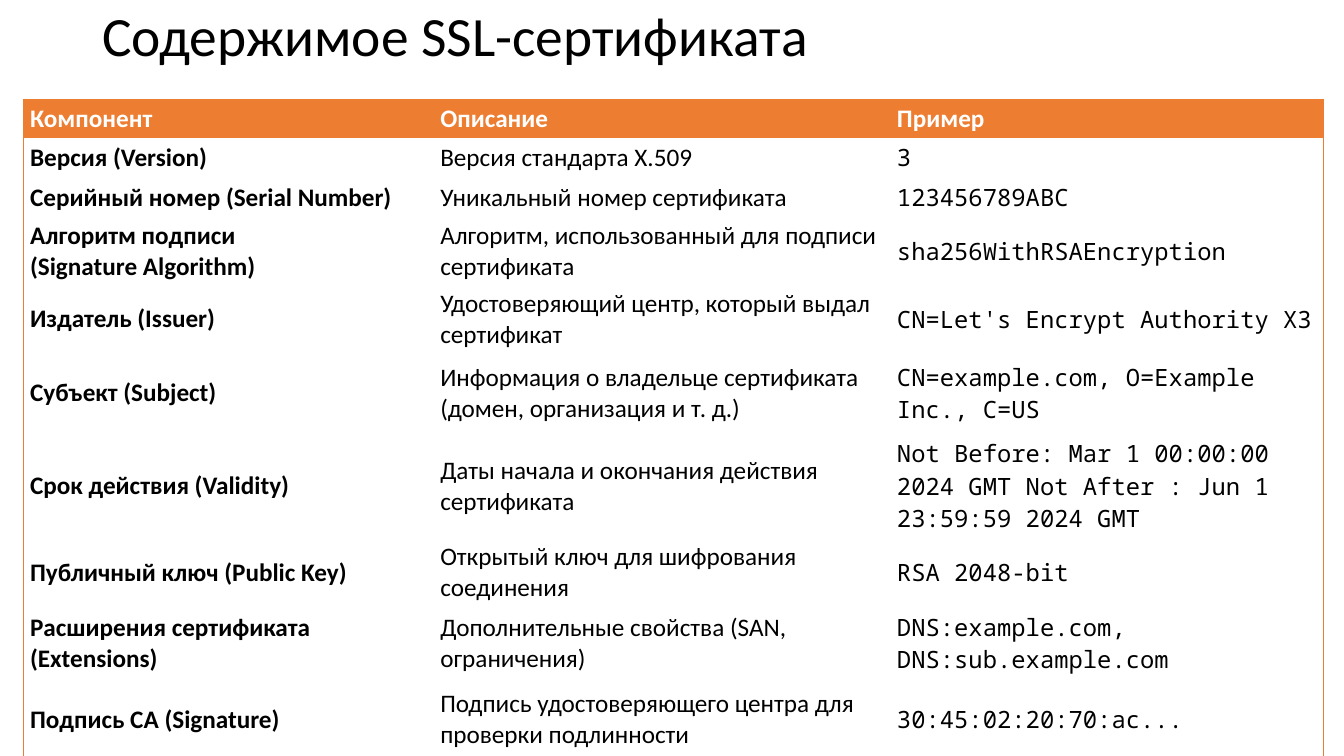
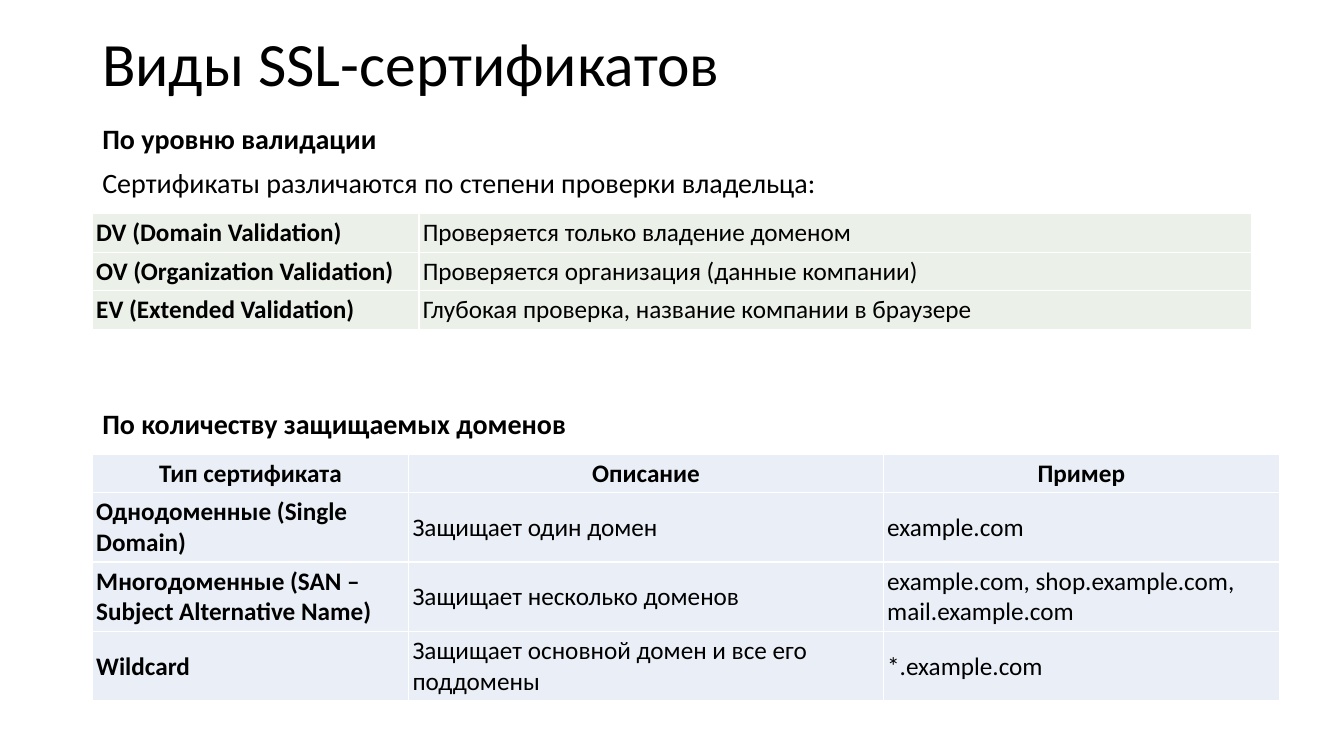
from dataclasses import dataclass

from lxml.etree import SubElement
from pptx import Presentation
from pptx.dml.color import RGBColor as Color
from pptx.enum.text import MSO_ANCHOR as Anchor, PP_ALIGN as Align
from pptx.oxml.ns import qn
from pptx.util import Emu, Pt

SCALE = 3175
NO_STYLE = "{2D5ABB26-0587-4C30-8999-92F81FD0307C}"
SIDES = ("L", "R", "T", "B")


@dataclass(frozen=True)
class Theme:
    """Colours, fonts and type sizes of the deck."""
    ink: str = "000000"
    paper: str = "FFFFFF"
    accent: str = "ED7D31"
    green: str = "EBF1E9"
    blue: str = "EAEFF7"
    font: str = "Calibri"
    mono: str = "Noto Sans Mono"
    title: float = 44
    title_small: float = 39.6
    lead: float = 20
    cell: float = 18
    code: float = 17


THEME = Theme()

CONTENTS = [
    ("Компонент", "Описание", "Пример"),
    ("Версия (Version)", "Версия стандарта X.509", "3"),
    ("Серийный номер (Serial Number)", "Уникальный номер сертификата", "123456789ABC"),
    ("Алгоритм подписи\n(Signature Algorithm)",
     "Алгоритм, использованный для подписи сертификата", "sha256WithRSAEncryption"),
    ("Издатель (Issuer)", "Удостоверяющий центр, который выдал сертификат",
     "CN=Let's Encrypt Authority X3"),
    ("Субъект (Subject)", "Информация о владельце сертификата (домен, организация и т. д.)",
     "CN=example.com, O=Example Inc., C=US"),
    ("Срок действия (Validity)", "Даты начала и окончания действия сертификата",
     "Not Before: Mar 1 00:00:00 2024 GMT Not After : Jun 1 23:59:59 2024 GMT"),
    ("Публичный ключ (Public Key)", "Открытый ключ для шифрования соединения", "RSA 2048-bit"),
    ("Расширения сертификата (Extensions)", "Дополнительные свойства (SAN, ограничения)",
     "DNS:example.com, DNS:sub.example.com"),
    ("Подпись CA (Signature)", "Подпись удостоверяющего центра для проверки подлинности",
     "30:45:02:20:70:ac..."),
]

VALIDATION = [
    ("DV (Domain Validation)", "Проверяется только владение доменом"),
    ("OV (Organization Validation)", "Проверяется организация (данные компании)"),
    ("EV (Extended Validation)", "Глубокая проверка, название компании в браузере"),
]

DOMAINS = [
    ("Тип сертификата", "Описание", "Пример"),
    ("Однодоменные (Single Domain)", "Защищает один домен", "example.com"),
    ("Многодоменные (SAN – Subject Alternative Name)", "Защищает несколько доменов",
     "example.com, shop.example.com, mail.example.com"),
    ("Wildcard", "Защищает основной домен и все его поддомены", "*.example.com"),
]


def px(length):
    """Turn px of a 3840 by 2160 slide into EMU."""
    return Emu(length * SCALE)


def write(para, text, size=THEME.cell, font=THEME.font, color=THEME.ink, bold=False,
          align=Align.LEFT, line=None, before=0):
    """Put formatted text into a paragraph."""
    para.text = text
    para.alignment = align
    para.space_before = Pt(before)
    if line:
        para.line_spacing = line
    for span in para.runs:
        span.font.size = Pt(size)
        span.font.name = font
        span.font.bold = bold
        span.font.color.rgb = Color.from_string(color)


def add_text(page, box, lines, anchor=Anchor.TOP, before=0, **look):
    """Add a text box with one paragraph for each (text, bold) pair."""
    frame = page.shapes.add_textbox(*map(px, box)).text_frame
    frame.word_wrap = True
    frame.vertical_anchor = anchor
    for index, (text, bold) in enumerate(lines):
        para = frame.add_paragraph() if index else frame.paragraphs[0]
        write(para, text, bold=bold, before=before if index else 0, **look)


def add_title(page, box, text, size=THEME.title):
    """Add the slide title."""
    add_text(page, box, [(text, False)], Anchor.MIDDLE, size=size, line=0.9)


def draw_borders(cell, sides, color, width):
    """Line the chosen sides of a cell and clear the others."""
    props = cell._tc.get_or_add_tcPr()
    for side in SIDES:
        edge = SubElement(props, qn(f"a:ln{side}"), w=str(Pt(width)))
        if side in sides:
            fill = SubElement(edge, qn("a:solidFill"))
            SubElement(fill, qn("a:srgbClr"), val=color)
        else:
            SubElement(edge, qn("a:noFill"))


def outer_sides(row, column, rows, columns):
    """Name the sides of a cell that lie on the table outline."""
    on_edge = (column == 0, column == columns - 1, row == 0, row == rows - 1)
    return [side for side, outer in zip(SIDES, on_edge) if outer]


def add_grid(page, left, top, widths, heights, data, look, border, width, inset,
             outline=False):
    """Add a table whose cells take fill and text format from look(row, column)."""
    rows, columns = len(heights), len(widths)
    frame = page.shapes.add_table(rows, columns, px(left), px(top),
                                  px(sum(widths)), px(sum(heights)))
    table = frame.table
    table.first_row = table.horz_banding = False
    table._tbl.tblPr.find(qn("a:tableStyleId")).text = NO_STYLE
    for column, size in zip(table.columns, widths):
        column.width = px(size)
    for row, size in zip(table.rows, heights):
        row.height = px(size)
    for r, texts in enumerate(data):
        for c, text in enumerate(texts):
            cell = table.cell(r, c)
            fill, style = look(r, c)
            cell.vertical_anchor = Anchor.MIDDLE
            cell.margin_left = cell.margin_right = px(inset[0])
            cell.margin_top = cell.margin_bottom = px(inset[1])
            sides = outer_sides(r, c, rows, columns) if outline else SIDES
            draw_borders(cell, sides, border, width)
            if fill:
                cell.fill.solid()
                cell.fill.fore_color.rgb = Color.from_string(fill)
            else:
                cell.fill.background()
            write(cell.text_frame.paragraphs[0], text, **style)


def contents_look(row, column):
    """Format the certificate contents: orange header, bold names, mono examples."""
    if row == 0:
        return THEME.accent, dict(color=THEME.paper, bold=True)
    if column == 2:
        return None, dict(font=THEME.mono, size=THEME.code)
    return None, dict(bold=column == 0)


def validation_look(row, column):
    """Format the validation levels."""
    return THEME.green, dict(bold=column == 0)


def domains_look(row, column):
    """Format the domain types, with a centred header."""
    align = Align.CENTER if row == 0 else Align.LEFT
    return THEME.blue, dict(bold=row == 0 or column == 0, align=align)


def build_contents(page):
    """Build the slide on what a certificate holds."""
    add_title(page, (264, 0, 3312, 219), "Содержимое SSL-сертификата", THEME.title_small)
    add_grid(page, 66, 285, (1172, 1305, 1238),
             (108, 115, 112, 194, 195, 230, 300, 195, 208, 230),
             CONTENTS, contents_look, THEME.accent, 0.5, (20, 10), outline=True)


def build_kinds(page):
    """Build the slide on kinds of certificates."""
    left, width = 264, 3312
    add_title(page, (left, 58, width, 265), "Виды SSL-сертификатов")
    add_text(page, (left, 343, width, 230),
             [("По уровню валидации", True),
              ("Сертификаты различаются по степени проверки владельца:", False)],
             size=THEME.lead, line=0.9, before=10)
    add_grid(page, left, 611, (933, 2379), (110,) * 3, VALIDATION, validation_look,
             THEME.paper, 1, (11, 11))
    add_text(page, (left, 1146, 1921, 127), [("По количеству защищаемых доменов", True)],
             size=THEME.lead)
    add_grid(page, left, 1299, (904, 1356, 1132), (109, 198, 199, 198), DOMAINS,
             domains_look, THEME.paper, 1, (11, 11))


def main():
    """Build and save the deck."""
    deck = Presentation()
    deck.slide_width, deck.slide_height = px(3840), px(2160)
    for build in (build_contents, build_kinds):
        build(deck.slides.add_slide(deck.slide_layouts[6]))
    deck.save("out.pptx")


if __name__ == "__main__":
    main()
